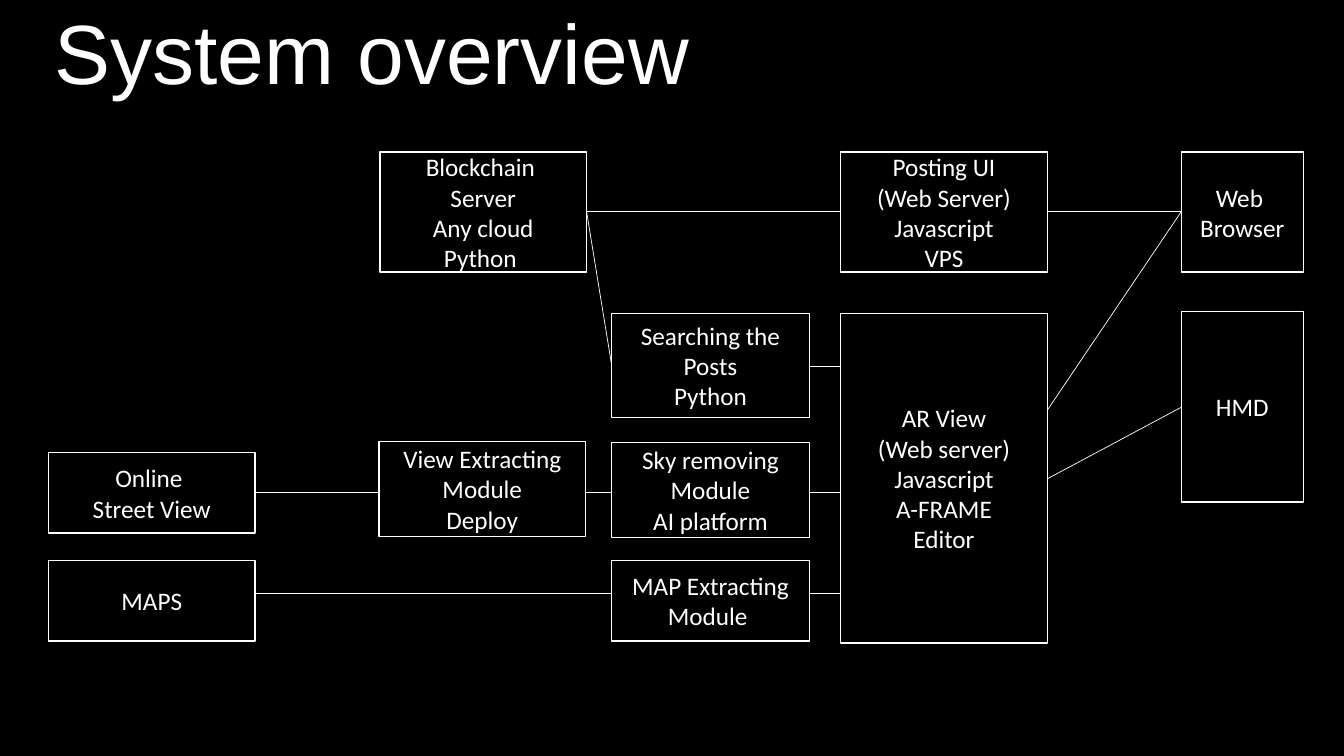
"""Build the system overview slide: module boxes joined by plain lines."""
from dataclasses import dataclass

from pptx import Presentation
from pptx.dml.color import RGBColor
from pptx.enum.shapes import MSO_CONNECTOR, MSO_SHAPE
from pptx.enum.text import MSO_ANCHOR, PP_ALIGN
from pptx.oxml.ns import qn
from pptx.slide import Slide
from pptx.util import Pt

RECTANGLE = MSO_SHAPE.RECTANGLE
STRAIGHT = MSO_CONNECTOR.STRAIGHT
MIDDLE = MSO_ANCHOR.MIDDLE
CENTER = PP_ALIGN.CENTER

BLACK = "000000"
WHITE = "FFFFFF"

SOURCE_LEFT, SERVER_LEFT, MODULE_LEFT, VIEW_LEFT, CLIENT_LEFT = 34.6, 271.4, 437, 600.5, 843.8
WIDE, MEDIUM, NARROW = 147.6, 141.1, 87.1
SOURCE_RIGHT = SOURCE_LEFT + WIDE
SERVER_RIGHT = SERVER_LEFT + WIDE
MODULE_RIGHT = MODULE_LEFT + MEDIUM
VIEW_RIGHT = VIEW_LEFT + WIDE

TOP_ROW, TOP_HEIGHT = 108.7, 85.7
SEARCH_ROW = 223.9
MAP_ROW, SOURCE_HEIGHT = 400.3, 57.6
POST_LINE, SEARCH_LINE, SKY_LINE, MAP_LINE = 151.2, 261.4, 351.4, 424.1


@dataclass(frozen=True)
class Module:
    """A labelled box."""
    left: float
    top: float
    width: float
    height: float
    lines: tuple[str, ...]


@dataclass(frozen=True)
class Link:
    """A line between two points."""
    start_x: float
    start_y: float
    end_x: float
    end_y: float


LINKS = (
    Link(VIEW_LEFT, POST_LINE, SERVER_RIGHT, POST_LINE),
    Link(VIEW_LEFT, MAP_LINE, SOURCE_RIGHT, MAP_LINE),
    Link(VIEW_LEFT, SKY_LINE, SOURCE_RIGHT, SKY_LINE),
    Link(CLIENT_LEFT, POST_LINE, VIEW_RIGHT, 293),
    Link(CLIENT_LEFT, POST_LINE, VIEW_RIGHT, POST_LINE),
    Link(CLIENT_LEFT, 290.9, VIEW_RIGHT, 342),
    Link(VIEW_LEFT, SEARCH_LINE, MODULE_RIGHT, SEARCH_LINE),
    Link(MODULE_LEFT, SEARCH_LINE, SERVER_RIGHT, POST_LINE),
)

MODULES = (
    Module(VIEW_LEFT, TOP_ROW, WIDE, TOP_HEIGHT,
           ("Posting UI", "(Web Server)", "Javascript", "VPS")),
    Module(SERVER_LEFT, TOP_ROW, WIDE, TOP_HEIGHT,
           ("Blockchain ", "Server", "Any cloud", "Python ")),
    Module(CLIENT_LEFT, TOP_ROW, NARROW, TOP_HEIGHT, ("Web ", "Browser")),
    Module(VIEW_LEFT, SEARCH_ROW, WIDE, 235.4,
           ("AR View", "(Web server)", "Javascript", "A-FRAME", "Editor")),
    Module(MODULE_LEFT, 316.1, MEDIUM, 67.7, ("Sky removing", "Module", "AI platform")),
    Module(SOURCE_LEFT, 323.3, WIDE, SOURCE_HEIGHT, ("Online ", "Street View")),
    Module(SOURCE_LEFT, MAP_ROW, WIDE, SOURCE_HEIGHT, ("MAPS",)),
    Module(MODULE_LEFT, MAP_ROW, MEDIUM, SOURCE_HEIGHT, ("MAP Extracting", "Module ")),
    Module(CLIENT_LEFT, 222.5, NARROW, 136.1, ("HMD",)),
    Module(270.7, 315.4, WIDE, 67.7, ("View Extracting", "Module", "Deploy")),
    Module(MODULE_LEFT, SEARCH_ROW, MEDIUM, 74.2, ("Searching the Posts", "Python")),
)


def color(value: str) -> RGBColor:
    """Turn a hex string into a colour."""
    return RGBColor.from_string(value)


def style_font(font, name: str, size: float) -> None:
    """Set a white font of the given name and size."""
    font.name = name
    font.size = Pt(size)
    font.color.rgb = color(WHITE)


def add_title(page: Slide, text: str) -> None:
    """Write the slide title."""
    box = page.shapes.add_textbox(Pt(31.7), Pt(5), Pt(802), Pt(85.7))
    box.text_frame.word_wrap = True
    paragraph = box.text_frame.paragraphs[0]
    paragraph.text = text
    paragraph.line_spacing = 0.9
    style_font(paragraph.font, "Arial", 60)


def add_link(page: Slide, link: Link) -> None:
    """Draw a thin white line."""
    line = page.shapes.add_connector(STRAIGHT, Pt(link.start_x), Pt(link.start_y),
                                     Pt(link.end_x), Pt(link.end_y))
    line.line.color.rgb = color(WHITE)
    line.line.width = Pt(0.5)
    properties = line._element.spPr
    properties.append(properties.makeelement(qn("a:effectLst"), {}))


def add_module(page: Slide, module: Module) -> None:
    """Draw a box with one paragraph for each line of its label."""
    box = page.shapes.add_shape(RECTANGLE, Pt(module.left), Pt(module.top),
                                Pt(module.width), Pt(module.height))
    box.shadow.inherit = False
    box.fill.solid()
    box.fill.fore_color.rgb = color(BLACK)
    box.line.color.rgb = color(WHITE)
    box.line.width = Pt(1)
    frame = box.text_frame
    frame.word_wrap = True
    frame.vertical_anchor = MIDDLE
    frame.text = "\n".join(module.lines)
    for paragraph in frame.paragraphs:
        paragraph.alignment = CENTER
        style_font(paragraph.font, "Calibri", 18)


def main() -> None:
    """Build and save the deck."""
    deck = Presentation()
    deck.slide_width, deck.slide_height = Pt(960), Pt(540)
    page = deck.slides.add_slide(deck.slide_layouts[6])
    page.background.fill.solid()
    page.background.fill.fore_color.rgb = color(BLACK)
    add_title(page, "System overview")
    for link in LINKS:
        add_link(page, link)
    for module in MODULES:
        add_module(page, module)
    deck.save("out.pptx")


if __name__ == "__main__":
    main()
